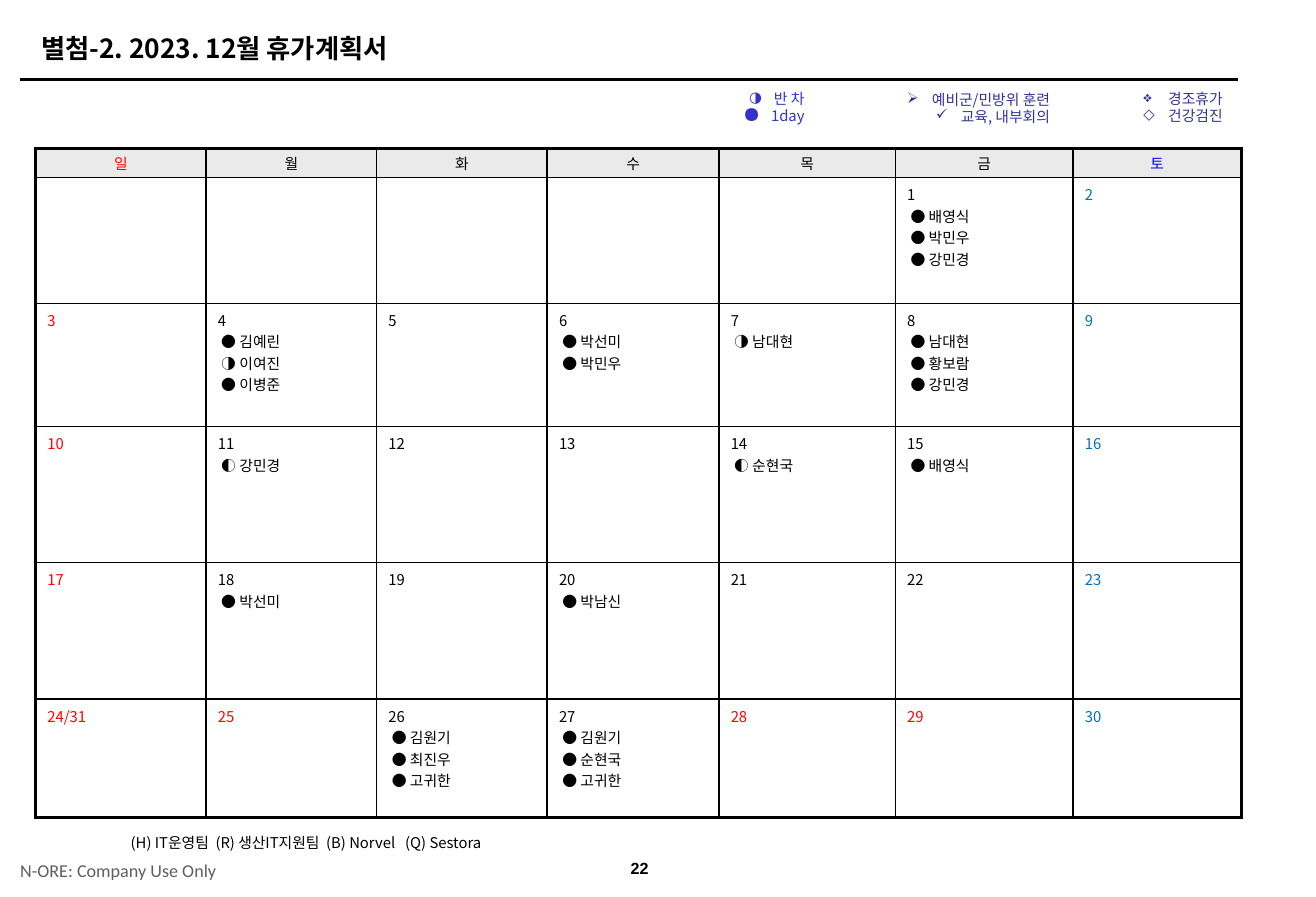
from lxml import etree
from pptx import Presentation
from pptx import util as u
from pptx.dml.color import RGBColor
from pptx.enum import shapes, text
from pptx.oxml.ns import qn

PX = 9144  # 100 px to the inch
KOREAN = "Noto Sans CJK KR"
COLORS = {
    "black": "000000", "red": "FF0000", "blue": "0000FF", "saturday": "0070C0",
    "header": "EAEAEA", "gray": "5F5F5F", "violet": "3333CC", "indigo": "333399",
}
LEFT, CENTER, RIGHT = text.PP_ALIGN.LEFT, text.PP_ALIGN.CENTER, text.PP_ALIGN.RIGHT
TOP, MIDDLE = text.MSO_ANCHOR.TOP, text.MSO_ANCHOR.MIDDLE

WEEKDAYS = "일월화수목금토"
COLUMNS = [144, 144, 144, 145, 149, 150, 142]
ROWS = [25, 106, 104, 115, 115, 100]
HOLIDAYS = {25, 28, 29}
LEAVES = {
    1: ["● 배영식", "● 박민우", "● 강민경"],
    4: ["● 김예린", "◑ 이여진", "● 이병준"],
    6: ["● 박선미", "● 박민우"],
    7: ["◑ 남대현"],
    8: ["● 남대현", "● 황보람", "● 강민경"],
    11: ["◐ 강민경"],
    14: ["◐ 순현국"],
    15: ["● 배영식"],
    18: ["● 박선미"],
    20: ["● 박남신"],
    26: ["● 김원기", "● 최진우", "● 고귀한"],
    27: ["● 김원기", "● 순현국", "● 고귀한"],
}
# Place, colour, wrapping and (bullet, bullet size in %, wording)
LEGENDS = [
    ((617, 72, 72, 40), "violet", False, [("◑", 100, "반 차"), ("●", 150, " 1day")]),
    ((741, 73, 158, 39), "indigo", True,
     [("➢", 100, "예비군/민방위 훈련 "), ("✓", 100, "교육, 내부회의 ")]),
    ((859, 72, 183, 39), "indigo", True, [("❖", 100, "경조휴가"), ("◇", 100, "건강검진")]),
]


def px(value):
    return u.Emu(value * PX)


def rgb(color):
    return RGBColor.from_string(COLORS[color])


def set_all(target, values):
    for name, value in values.items():
        setattr(target, name, value)


def write(para, words, color="black", size=9, font=KOREAN, bold=False, **layout):
    set_all(para, layout)
    span = para.add_run()
    span.text = words
    set_all(span.font, {"name": font, "size": u.Pt(size), "bold": bold})
    span.font.color.rgb = rgb(color)
    etree.SubElement(span.font._element, qn("a:ea"), typeface=font)


def add_box(page, place, wrap=True, anchor=TOP, inset=(10, 5)):
    box = page.shapes.add_textbox(*map(px, place))
    across, down = map(px, inset)
    set_all(box.text_frame, {
        "word_wrap": wrap, "vertical_anchor": anchor,
        "margin_left": across, "margin_right": across,
        "margin_top": down, "margin_bottom": down,
    })
    return box.text_frame


def add_label(page, place, words, wrap=True, inset=(10, 5), **style):
    frame = add_box(page, place, wrap, MIDDLE, inset)
    write(frame.paragraphs[0], words, **style)


def add_bullet(para, symbol, percent, color):
    props = para._p.get_or_add_pPr()
    props.set("marL", str(px(21)))
    props.set("indent", str(px(-21)))
    tint = etree.SubElement(props, qn("a:buClr"))
    etree.SubElement(tint, qn("a:srgbClr"), val=COLORS[color])
    etree.SubElement(props, qn("a:buSzPct"), val=str(percent * 1000))
    etree.SubElement(props, qn("a:buChar"), char=symbol)


def add_legend(page, place, color, wrap, items):
    frame = add_box(page, place, wrap)
    for index, (symbol, percent, words) in enumerate(items):
        para = frame.add_paragraph() if index else frame.paragraphs[0]
        add_bullet(para, symbol, percent, color)
        write(para, words, color, alignment=RIGHT, line_spacing=0.95)


def add_rule(page, left, right, y):
    rule = page.shapes.add_connector(
        shapes.MSO_CONNECTOR.STRAIGHT, px(left), px(y), px(right), px(y))
    rule.line.color.rgb = rgb("black")
    rule.line.width = u.Pt(1.5)
    etree.SubElement(rule._element.spPr, qn("a:effectLst"))


def set_borders(cell, row, column):
    outer = {"L": column == 0, "R": column == len(COLUMNS) - 1,
             "T": row == 0, "B": row == len(ROWS) - 1}
    props = cell._tc.get_or_add_tcPr()
    for side, thick in outer.items():
        width = u.Pt(2 if thick else 1)
        edge = etree.SubElement(props, qn(f"a:ln{side}"), w=str(width))
        fill = etree.SubElement(edge, qn("a:solidFill"))
        etree.SubElement(fill, qn("a:srgbClr"), val=COLORS["black"])


def fill_header(cell, column):
    set_all(cell, {"vertical_anchor": MIDDLE, "margin_top": px(3), "margin_bottom": px(3)})
    cell.fill.solid()
    cell.fill.fore_color.rgb = rgb("header")
    color = {0: "red", 6: "blue"}.get(column, "black")
    write(cell.text_frame.paragraphs[0], WEEKDAYS[column], color, alignment=CENTER)


def fill_day(cell, day, column):
    cell.fill.background()
    if day < 1:
        return
    color = "red" if column == 0 or day in HOLIDAYS else "saturday" if column == 6 else "black"
    number = "24/31" if day == 24 else str(day)
    write(cell.text_frame.paragraphs[0], number, color)
    for leave in LEAVES.get(day, []):
        write(cell.text_frame.add_paragraph(), f" {leave}")


def add_calendar(page, left, top):
    frame = page.shapes.add_table(
        len(ROWS), len(COLUMNS), px(left), px(top), px(sum(COLUMNS)), px(sum(ROWS)))
    table = frame.table
    set_all(table, {"first_row": False, "horz_banding": False})
    for column, width in enumerate(COLUMNS):
        table.columns[column].width = px(width)
    for row, height in enumerate(ROWS):
        table.rows[row].height = px(height)
        for column in range(len(COLUMNS)):
            cell = table.cell(row, column)
            set_all(cell, {"margin_left": px(10), "margin_right": px(10),
                           "margin_top": px(5), "margin_bottom": px(5)})
            set_borders(cell, row, column)
            if row == 0:
                fill_header(cell, column)
            else:
                # 1 December falls on the Friday of the first week
                fill_day(cell, (row - 1) * 7 + column - 4, column)


def main():
    deck = Presentation()
    set_all(deck, {"slide_width": px(1111), "slide_height": px(757)})
    page = deck.slides.add_slide(deck.slide_layouts[6])

    # Page frame
    add_rule(page, 17, 1045, 67)
    add_label(page, (513, 717, 54, 31), "22", wrap=False, size=9.8, font="Arial",
              bold=True, alignment=CENTER)
    add_label(page, (17, 719, 175, 31), "N-ORE: Company Use Only", inset=(0, 0),
              color="gray", size=11, font="Calibri", alignment=LEFT)

    # Calendar
    add_calendar(page, 30, 125)

    # Title, legends and team key
    add_label(page, (25, 22, 990, 37), "별첨-2. 2023. 12월 휴가계획서", size=16, bold=True)
    for legend in LEGENDS:
        add_legend(page, *legend)
    add_label(page, (79, 700, 337, 24),
              "(H) IT운영팀  (R) 생산IT지원팀  (B) Norvel   (Q) Sestora",
              wrap=False, alignment=RIGHT, line_spacing=0.95)

    deck.save("out.pptx")


if __name__ == "__main__":
    main()
